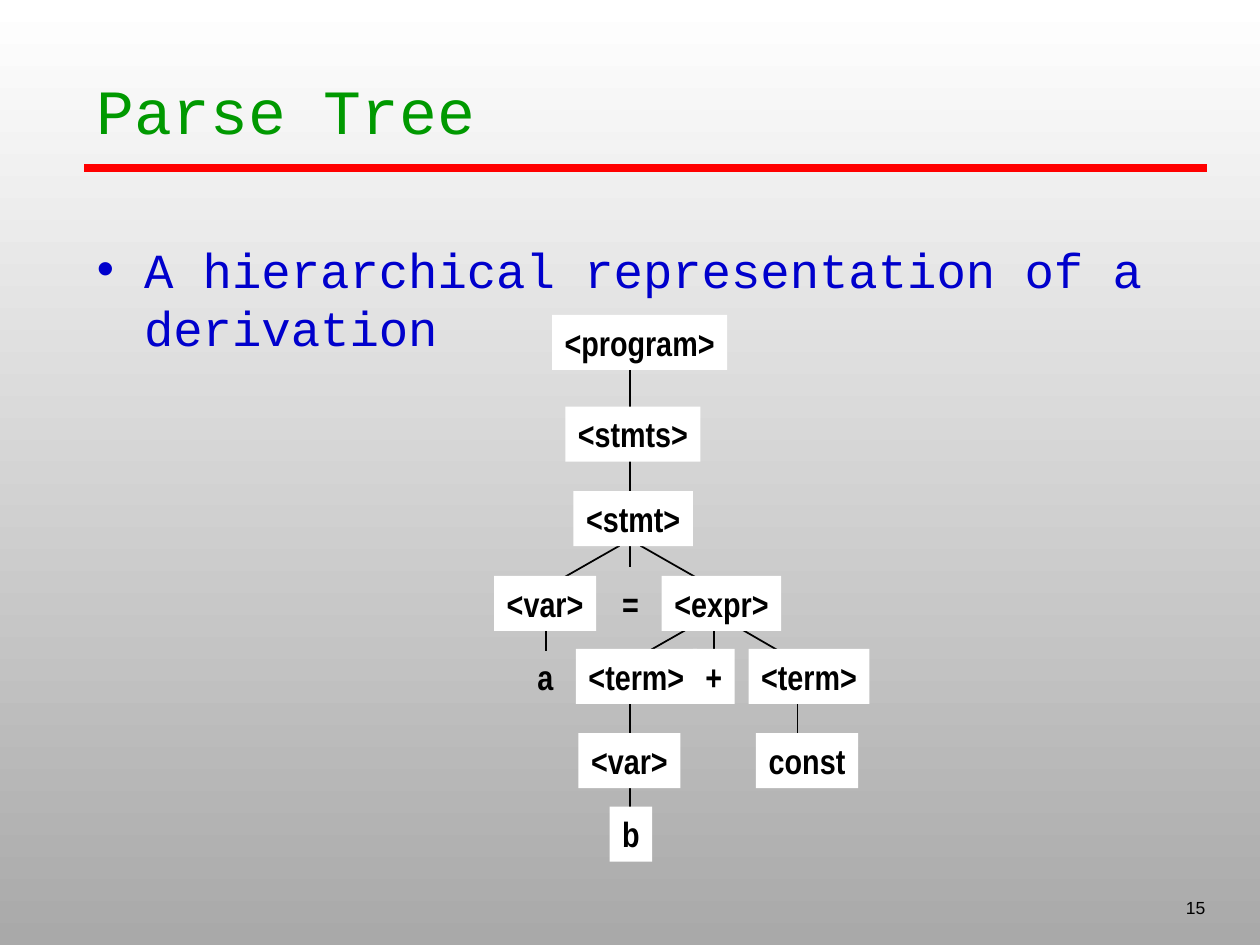
from lxml import etree
from pptx import Presentation
from pptx.dml.color import RGBColor
from pptx.enum import shapes, text
from pptx.oxml.ns import qn
from pptx.util import Cm, Pt

THEME = {
    "title": ("Courier New", 36, "009900", False),
    "body": ("Courier New", 28, "0000CC", False),
    "node": ("Arial Narrow", 20, "000000", True),
    "number": ("Arial", 10, "000000", False),
    "rule": "FF0000",
    "branch": "000000",
    "box": "FFFFFF",
    "background": ("FFFFFF", "A9A9A9"),
}

TITLE = "Parse Tree"
BULLET = "A hierarchical representation of a derivation"
NUMBER = "15"

# Each level of the tree: top, then nodes as (label, left, width, has a box), in cm
LEVELS = [
    (6.35, [("<program>", 11.13, 3.53, True)]),
    (8.2, [("<stmts>", 11.4, 2.72, True)]),
    (9.9, [("<stmt>", 11.56, 2.41, True)]),
    (11.61, [("<var>", 9.96, 2.06, True), ("=", 12.29, 0.84, False),
             ("<expr>", 13.34, 2.41, True)]),
    (13.08, [("a", 10.59, 0.81, False), ("<term>", 11.61, 2.44, True),
             ("+", 13.97, 0.84, True), ("<term>", 15.09, 2.44, True)]),
    (14.78, [("<var>", 11.66, 2.06, True), ("const", 15.24, 2.06, True)]),
    (16.26, [("b", 12.29, 0.86, True)]),
]
NODE_HEIGHT = 1.11

COLUMNS = [11, 12.7, 14.4, 16.08]
# Vertical lines: column, top, bottom
STEMS = [(0, 11.85, 13.12), (1, 6.99, 11.43), (1, 13.55, 16.93),
         (2, 11.85, 13.34), (3, 13.55, 15.45)]
# Pairs of slanted lines: parent column, top, bottom
FORKS = [(1, 11, 11.85), (2, 12.49, 13.34)]
FORK_GAP = 0.21


def color(value):
    return RGBColor.from_string(value)


def place(shape, left, top, width, height):
    shape.left, shape.top = Cm(left), Cm(top)
    shape.width, shape.height = Cm(width), Cm(height)


def write(shape, content, style, alignment, anchor=text.MSO_ANCHOR.TOP):
    """Put one styled paragraph in the shape and return it."""
    name, size, font_color, bold = THEME[style]
    frame = shape.text_frame
    frame.text = content
    frame.auto_size = text.MSO_AUTO_SIZE.NONE
    frame.vertical_anchor = anchor
    paragraph = frame.paragraphs[0]
    paragraph.alignment = alignment
    paragraph.space_before = Pt(0)
    font = paragraph.runs[0].font
    font.name, font.size, font.bold = name, Pt(size), bold
    font.color.rgb = color(font_color)
    return paragraph


def add_line(slide, start, end, line_color, width):
    line = slide.shapes.add_connector(
        shapes.MSO_CONNECTOR.STRAIGHT, *map(Cm, start + end))
    line.line.color.rgb = color(line_color)
    line.line.width = Pt(width)
    etree.SubElement(line._element.spPr, qn("a:effectLst"))


def add_bullet(paragraph, indent):
    properties = paragraph._p.get_or_add_pPr()
    properties.set("marL", str(Cm(indent)))
    properties.set("indent", str(-Cm(indent)))
    etree.SubElement(properties, qn("a:buFont"), typeface="Arial")
    etree.SubElement(properties, qn("a:buChar"), char="•")


def add_node(slide, label, left, top, width, boxed):
    position = [Cm(value) for value in (left, top, width, NODE_HEIGHT)]
    if boxed:
        shape = slide.shapes.add_shape(shapes.MSO_SHAPE.RECTANGLE, *position)
        shape.shadow.inherit = False
        shape.fill.solid()
        shape.fill.fore_color.rgb = color(THEME["box"])
        shape.line.fill.background()
    else:
        shape = slide.shapes.add_textbox(*position)
    write(shape, label, "node", text.PP_ALIGN.CENTER)
    shape.text_frame.word_wrap = False


def add_tree(slide):
    branches = [((COLUMNS[column], top), (COLUMNS[column], bottom))
                for column, top, bottom in STEMS]
    for column, top, bottom in FORKS:
        for side in (-1, 1):
            branches.append(((COLUMNS[column] + side * FORK_GAP, top),
                             (COLUMNS[column + side], bottom)))
    for start, end in branches:
        add_line(slide, start, end, THEME["branch"], 1)
    for top, nodes in LEVELS:
        for label, left, width, boxed in nodes:
            add_node(slide, label, left, top, width, boxed)


def set_background(slide):
    fill = slide.background.fill
    fill.gradient()
    fill.gradient_angle = 270
    for stop, position, value in zip(fill.gradient_stops, (0, 1), THEME["background"]):
        stop.position = position
        stop.color.rgb = color(value)


def main():
    presentation = Presentation()
    presentation.slide_width, presentation.slide_height = Cm(25.4), Cm(19.05)
    slide = presentation.slides.add_slide(presentation.slide_layouts[1])
    set_background(slide)

    title, body = slide.placeholders
    place(title, 1.7, 1.07, 22.65, 3.17)
    place(body, 1.7, 4.45, 22.65, 12.7)
    write(title, TITLE, "title", text.PP_ALIGN.LEFT)
    add_bullet(write(body, BULLET, "body", text.PP_ALIGN.LEFT), 0.95)
    for shape in (title, body):
        shape.text_frame.margin_top = Cm(0.37)

    add_line(slide, (1.7, 3.39), (24.34, 3.39), THEME["rule"], 4.5)
    add_tree(slide)

    number = slide.shapes.add_textbox(Cm(19.26), Cm(17.36), Cm(5.29), Cm(1.27))
    write(number, NUMBER, "number", text.PP_ALIGN.RIGHT, text.MSO_ANCHOR.BOTTOM)
    number.text_frame.word_wrap = True
    presentation.save("out.pptx")


if __name__ == "__main__":
    main()
